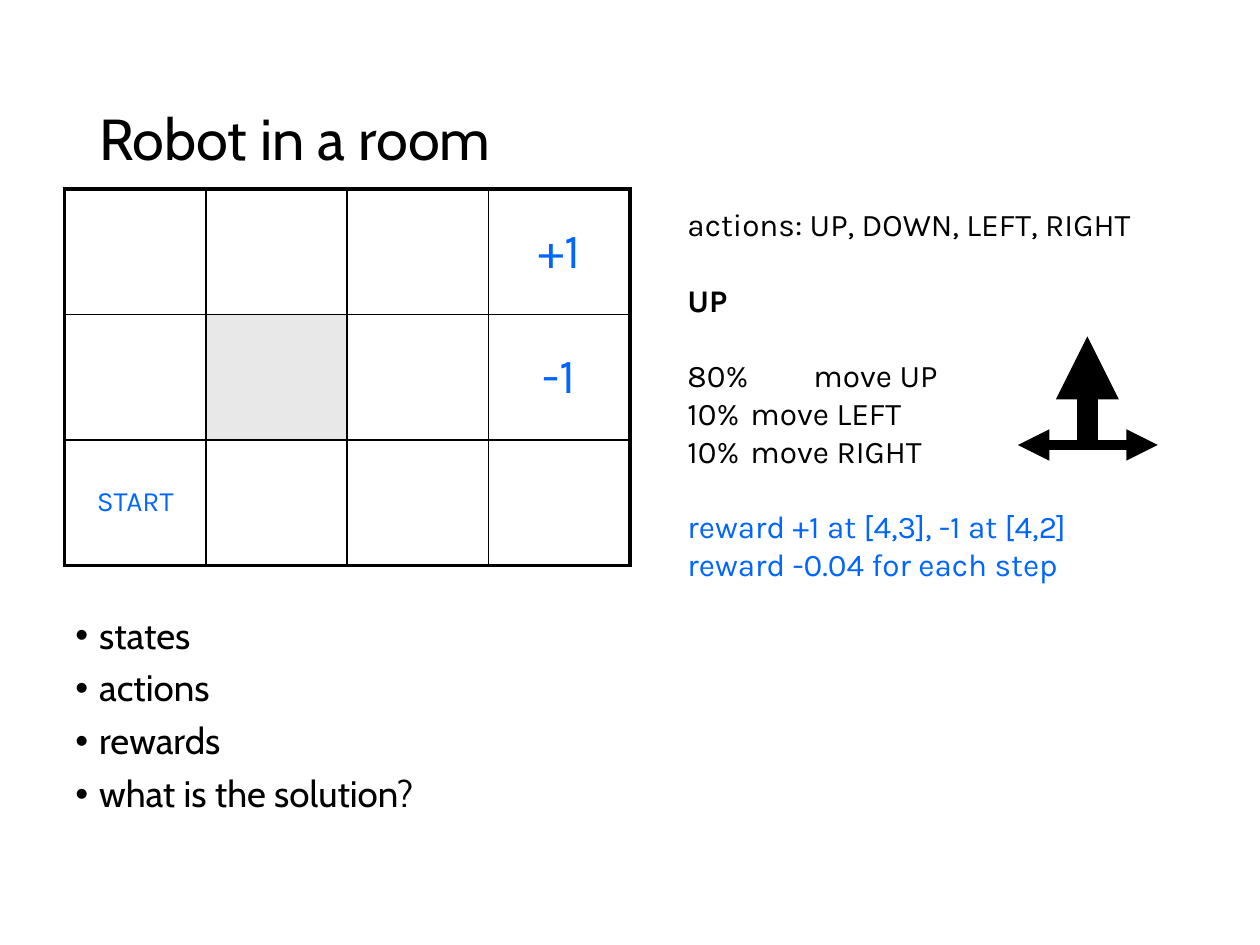
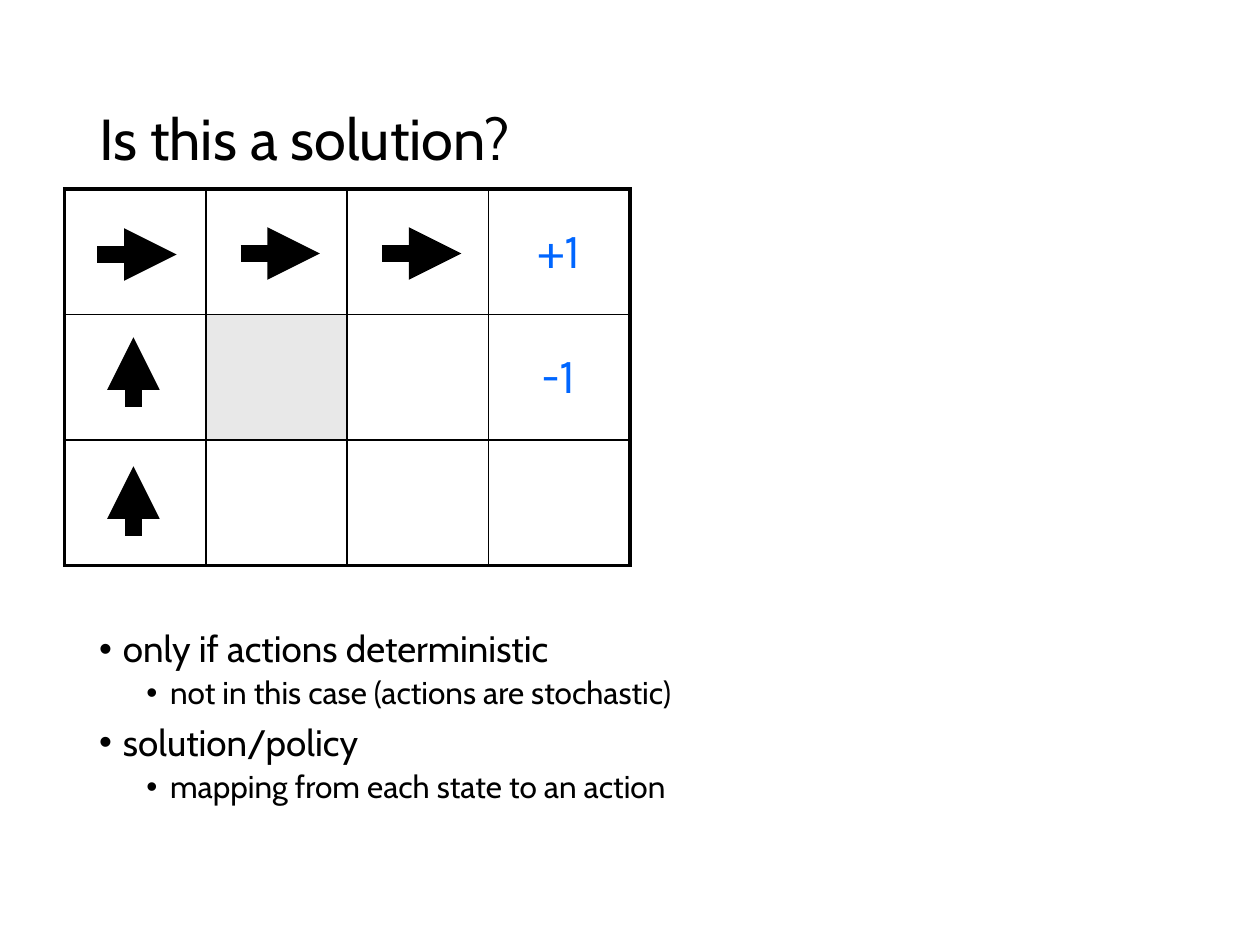
"""Builds two slides about a robot moving through a grid world."""
from dataclasses import dataclass

import lxml.etree
import pptx
import pptx.dml.color
import pptx.enum.shapes
import pptx.enum.text
import pptx.oxml.ns
import pptx.slide
import pptx.text.text
import pptx.util
from pptx.util import Cm

BLACK, BLUE, WALL_GREY = "000000", "0066FF", "E8E8E8"
HEADING_FONT, LABEL_FONT = "Cabin", "Karla"
COLUMNS, ROWS = 4, 3
CELL_WIDTH, CELL_HEIGHT = Cm(2.85), Cm(2.53)
WALL = (1, 1)
REWARDS = {(0, 3): ("+1", 28), (1, 3): ("-1", 28)}
OUTER_BORDER, INNER_BORDER = 2.25, 1
BLANK_LINE = 21.6


@dataclass(frozen=True)
class Box:
    """Place of a text box in centimetres."""
    left: float
    top: float
    width: float
    height: float


@dataclass(frozen=True)
class Line:
    """One paragraph of text and its look."""
    words: str
    size: float = 18
    font: str = LABEL_FONT
    color: str = BLACK
    bold: bool = False
    before: float = 0
    spacing: float = 1.0
    bullet_indent: float = 0
    tabs: tuple[float, ...] = ()


@dataclass(frozen=True)
class Arrow:
    """A move, from start to end in centimetres, with its weight in points."""
    start: tuple[float, float]
    end: tuple[float, float]
    weight: float = 10


TITLE_BOX = Box(1.75, 1.02, 21.89, 3.68)


def rgb(color: str) -> pptx.dml.color.RGBColor:
    """Turn a hex string into a colour."""
    return pptx.dml.color.RGBColor.from_string(color)


def add_child(parent, tag: str, **attributes: str):
    """Append a drawing element to its parent."""
    return lxml.etree.SubElement(parent, pptx.oxml.ns.qn(tag), attributes)


def bullet(words: str, level: int = 0, before: float = 7.5) -> Line:
    """Describe a bullet of the first or second level."""
    return Line(words, size=(21, 18)[level], font=HEADING_FONT, before=before,
                spacing=0.9, bullet_indent=(0.48, 1.43)[level])


def write_line(paragraph: pptx.text.text._Paragraph, line: Line) -> None:
    """Fill a paragraph with one formatted run."""
    properties = paragraph._p.get_or_add_pPr()
    if line.bullet_indent:
        properties.set("marL", str(Cm(line.bullet_indent)))
        properties.set("indent", str(-Cm(0.48)))
        add_child(properties, "a:buFont", typeface="Arial")
        add_child(properties, "a:buChar", char="•")
    if line.tabs:
        stops = add_child(properties, "a:tabLst")
        for stop in line.tabs:
            add_child(stops, "a:tab", pos=str(Cm(stop)), algn="l")
    paragraph.line_spacing = line.spacing
    paragraph.space_before = pptx.util.Pt(line.before)
    run = paragraph.add_run()
    run.text = line.words
    run.font.name = line.font
    run.font.size = pptx.util.Pt(line.size)
    run.font.bold = line.bold
    run.font.color.rgb = rgb(line.color)


def add_lines(slide: pptx.slide.Slide, box: Box, lines: list[Line],
              anchor=pptx.enum.text.MSO_ANCHOR.TOP) -> None:
    """Add a wrapped text box holding the lines."""
    frame = slide.shapes.add_textbox(
        Cm(box.left), Cm(box.top), Cm(box.width), Cm(box.height)).text_frame
    frame.word_wrap = True
    frame.vertical_anchor = anchor
    for index, line in enumerate(lines):
        write_line(frame.add_paragraph() if index else frame.paragraphs[0], line)


def add_titled_slide(deck, title: str) -> pptx.slide.Slide:
    """Add a blank slide with the shared title style."""
    slide = deck.slides.add_slide(deck.slide_layouts[6])
    heading = Line(title, size=33, font=HEADING_FONT, spacing=0.9)
    add_lines(slide, TITLE_BOX, [heading], pptx.enum.text.MSO_ANCHOR.MIDDLE)
    return slide


def add_border(cell, side: str, weight: float) -> None:
    """Draw one black edge of a cell."""
    edge = add_child(cell._tc.get_or_add_tcPr(), f"a:ln{side}",
                     w=str(pptx.util.Pt(weight)))
    add_child(add_child(edge, "a:solidFill"), "a:srgbClr", val=BLACK)


def add_room(slide: pptx.slide.Slide,
             labels: dict[tuple[int, int], tuple[str, float]]) -> None:
    """Add the room as a table with a wall and labelled cells."""
    room = slide.shapes.add_table(ROWS, COLUMNS, Cm(1.3), Cm(3.81),
                                  CELL_WIDTH * COLUMNS, CELL_HEIGHT * ROWS).table
    room.first_row = room.horz_banding = False
    for column in room.columns:
        column.width = CELL_WIDTH
    for row in room.rows:
        row.height = CELL_HEIGHT
    for r in range(ROWS):
        for c in range(COLUMNS):
            cell = room.cell(r, c)
            edges = {"L": c == 0, "R": c == COLUMNS - 1,
                     "T": r == 0, "B": r == ROWS - 1}
            for side, is_outer in edges.items():
                add_border(cell, side, OUTER_BORDER if is_outer else INNER_BORDER)
            if (r, c) == WALL:
                cell.fill.solid()
                cell.fill.fore_color.rgb = rgb(WALL_GREY)
            else:
                cell.fill.background()
            if (r, c) in labels:
                words, size = labels[r, c]
                cell.vertical_anchor = pptx.enum.text.MSO_ANCHOR.MIDDLE
                paragraph = cell.text_frame.paragraphs[0]
                write_line(paragraph, Line(words, size=size, color=BLUE))
                paragraph.alignment = pptx.enum.text.PP_ALIGN.CENTER


def add_arrows(slide: pptx.slide.Slide, arrows: list[Arrow]) -> None:
    """Add black arrows with triangular heads."""
    for arrow in arrows:
        move = slide.shapes.add_connector(
            pptx.enum.shapes.MSO_CONNECTOR.STRAIGHT,
            *map(Cm, arrow.start), *map(Cm, arrow.end))
        move.line.color.rgb = rgb(BLACK)
        move.line.width = pptx.util.Pt(arrow.weight)
        add_child(move.line._get_or_add_ln(), "a:tailEnd", type="triangle")
        add_child(move._element.spPr, "a:effectLst")


def build_robot_slide(deck) -> None:
    """Present the room, the actions and the rewards."""
    slide = add_titled_slide(deck, "Robot in a room")
    add_lines(slide, Box(1.27, 12.32, 22.86, 6.73), [
        bullet("states", before=0),
        bullet("actions"),
        bullet("rewards"),
        bullet("what is the solution?"),
    ])
    add_room(slide, REWARDS | {(2, 0): ("START", 16)})
    add_arrows(slide, [
        Arrow((21.92, 8.97), (21.92, 6.78), 12),
        Arrow((21.92, 8.97), (23.34, 8.97), 6),
        Arrow((22.12, 8.97), (20.52, 8.97), 6),
    ])
    stops = (1.27, 2.54)
    add_lines(slide, Box(13.61, 4.01, 10.72, 7.72), [
        Line("actions: UP, DOWN, LEFT, RIGHT"),
        Line("UP", bold=True, before=BLANK_LINE),
        Line("80% \tmove UP", before=BLANK_LINE, tabs=stops),
        Line("10%\tmove LEFT", tabs=stops),
        Line("10%\tmove RIGHT", tabs=stops),
        Line("reward +1 at [4,3], -1 at [4,2]", color=BLUE, before=BLANK_LINE),
        Line("reward -0.04 for each step", color=BLUE),
    ])


def build_solution_slide(deck) -> None:
    """Show a candidate path through the room."""
    slide = add_titled_slide(deck, "Is this a solution?")
    add_lines(slide, Box(1.75, 12.6, 21.89, 4.57), [
        bullet("only if actions deterministic", before=0),
        bullet("not in this case (actions are stochastic)", 1, 3.8),
        bullet("solution/policy"),
        bullet("mapping from each state to an action", 1, 3.8),
    ])
    add_room(slide, REWARDS)
    rightward = [Arrow((x, y), (x + 1.6, y))
                 for x, y in ((1.96, 5.13), (4.85, 5.11), (7.7, 5.11))]
    upward = [Arrow((2.69, y), (2.69, y - 1.4)) for y in (10.8, 8.2)]
    add_arrows(slide, rightward + upward)


def main() -> None:
    """Build and save the deck."""
    deck = pptx.Presentation()
    deck.slide_width, deck.slide_height = Cm(25.4), Cm(19.05)
    build_robot_slide(deck)
    build_solution_slide(deck)
    deck.save("out.pptx")


if __name__ == "__main__":
    main()
